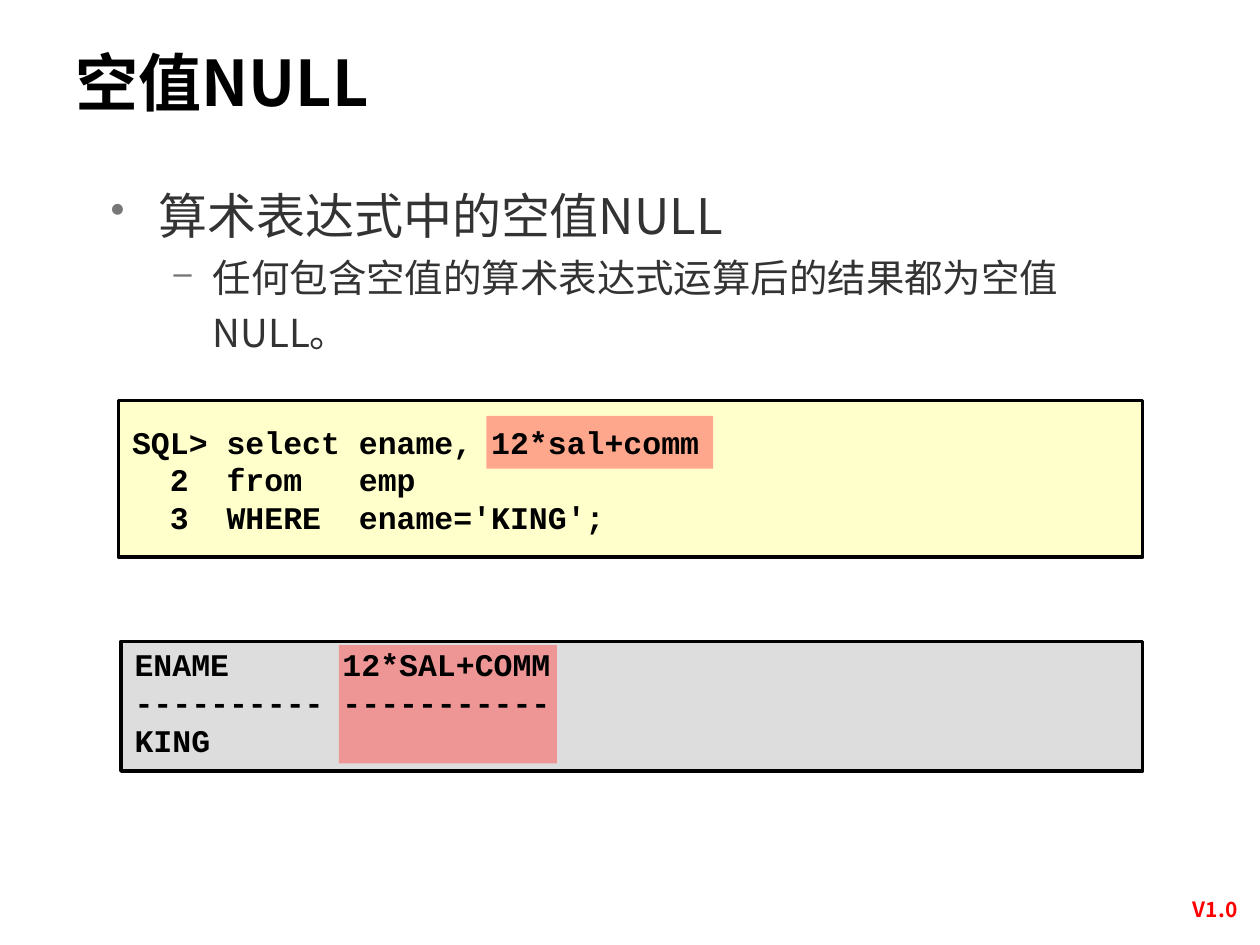
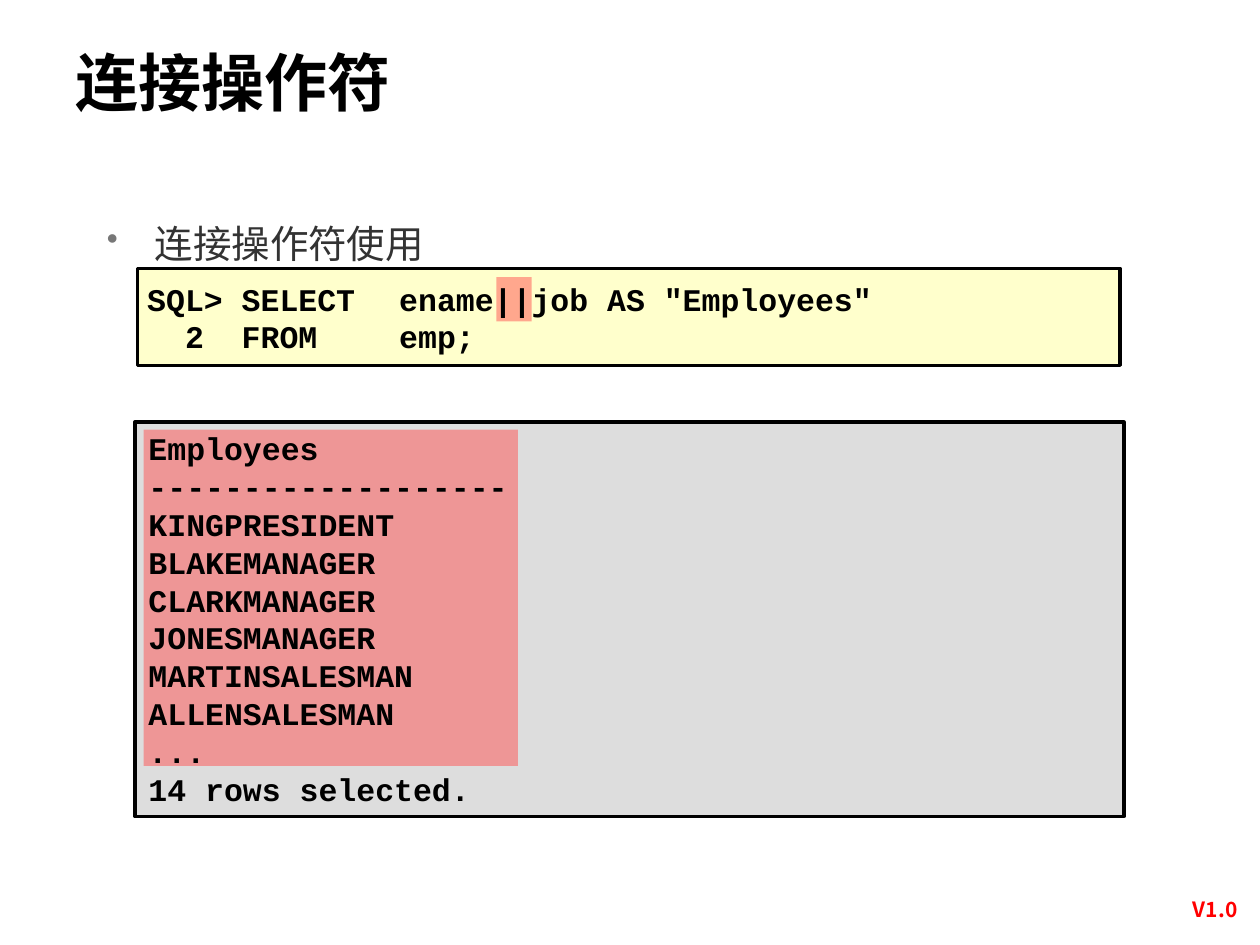
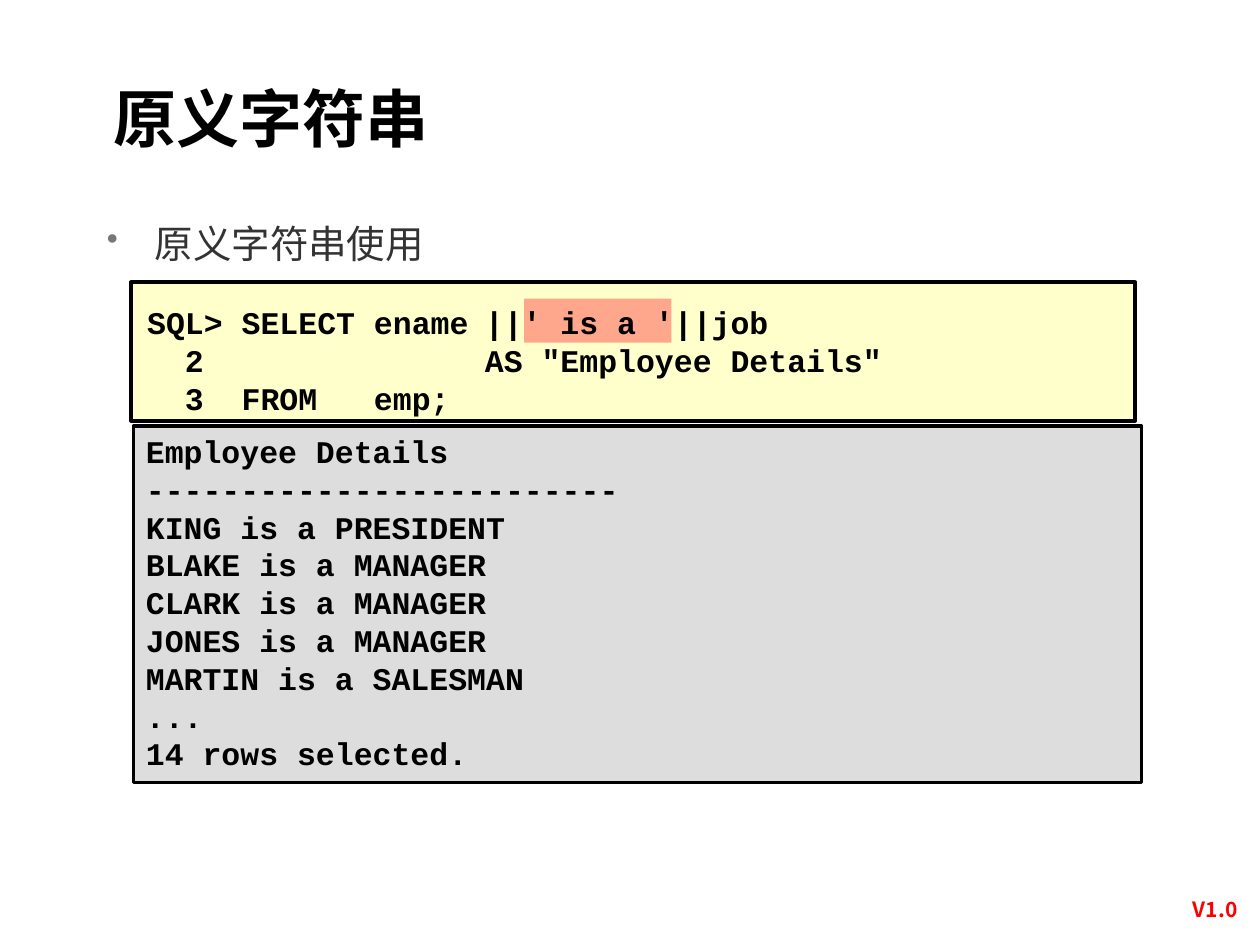
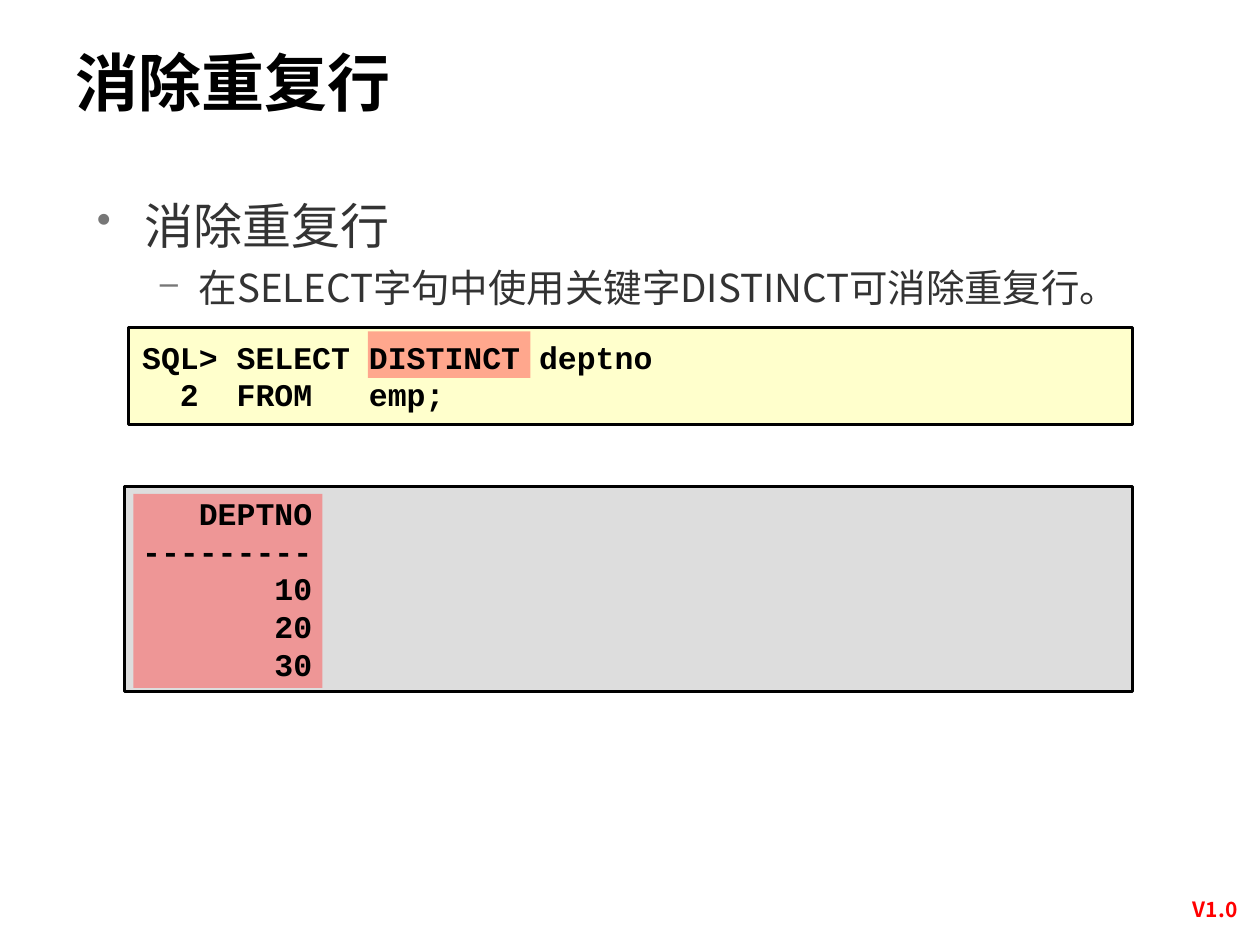
from lxml.etree import SubElement as Sub
from pptx import Presentation
from pptx.dml.color import RGBColor as Rgb
from pptx.enum.shapes import MSO_SHAPE as Geo
from pptx.enum.text import MSO_ANCHOR as Anchor, PP_ALIGN as Align
from pptx.oxml.ns import qn
from pptx.util import Inches, Pt

HEX = {"ink": "000000", "body": "333333", "dot": "777777", "sql": "FFFFCC",
       "out": "DDDDDD", "mark": "FF5050", "ver": "FF0000"}
SANS, MONO = "Noto Sans CJK SC", "Courier New"
HEAD = (0.5, 0.3, 7.97, 0.77)
LEVELS = [("•", 0.38, -0.38), ("–", 0.81, -0.31)]
STOPS = [(0.3, "l"), (0.75, "l"), (1.8, "l")]

SLIDES = [
    {
        "title": ("空值NULL", HEAD),
        "body": ((0.78, 1.33, 8.08, 1.56),
                 [("算术表达式中的空值NULL", 28, 0),
                  ("任何包含空值的算术表达式运算后的结果都为空值NULL。", 22, 1)]),
        "panels": [("sql", (0.94, 3.18, 8.13, 1.24)),
                   ("out", (0.96, 5.09, 8.11, 1.03))],
        "marks": [(3.86, 3.3, 1.8, 0.42), (2.69, 5.12, 1.73, 0.94)],
        "sql": ((0.95, 3.17, 8.16, 1.27), STOPS,
                ["SQL>\tselect\tename, 12*sal+comm",
                 "\t2\tfrom\temp",
                 "\t3\tWHERE\tename='KING';"]),
        "out": ((0.97, 5.07, 8.14, 1), [(1.65, "l")],
                ["ENAME\t12*SAL+COMM", "----------\t-----------", "KING"]),
    },
    {
        "title": ("连接操作符", HEAD),
        "body": ((0.75, 1.62, 8.82, 0.49), [("连接操作符使用", 22, 0)]),
        "panels": [("sql", (1.09, 2.13, 7.8, 0.77)),
                   ("out", (1.07, 3.35, 7.85, 3.13))],
        "marks": [(3.94, 2.2, 0.28, 0.35), (1.14, 3.41, 2.97, 2.67)],
        "sql": ((1.07, 2.12, 7.82, 0.8), STOPS[:2] + [(2, "l")],
                ["SQL>\tSELECT\tename||job AS \"Employees\"",
                 "\t2\tFROM\temp;"]),
        "out": ((1.08, 3.36, 7.82, 3.1), [],
                ["Employees", "-------------------", "KINGPRESIDENT",
                 "BLAKEMANAGER", "CLARKMANAGER", "JONESMANAGER",
                 "MARTINSALESMAN", "ALLENSALESMAN", "...",
                 "14 rows selected."]),
    },
    {
        "title": ("原义字符串", (0.8, 0.58, 8.33, 0.96)),
        "body": ((0.75, 1.62, 8.82, 0.49), [("原义字符串使用", 22, 0)]),
        "panels": [("sql", (1.04, 2.24, 7.97, 1.1)),
                   ("out", (1.06, 3.38, 8, 2.83))],
        "marks": [(4.16, 2.37, 1.17, 0.35)],
        "sql": ((1.07, 2.29, 8, 1.13), STOPS + [(2.68, "l")],
                ["SQL>\tSELECT\tename\t||' is a '||job",
                 "\t2\t\t\tAS \"Employee Details\"",
                 "\t3\tFROM\temp;"]),
        "out": (None, [],
                ["Employee Details", "-------------------------",
                 "KING is a PRESIDENT", "BLAKE is a MANAGER",
                 "CLARK is a MANAGER", "JONES is a MANAGER",
                 "MARTIN is a SALESMAN", "...", "14 rows selected."]),
    },
    {
        "title": ("消除重复行", HEAD),
        "body": ((0.67, 1.41, 8.82, 1.56),
                 [("消除重复行", 28, 0),
                  ("在SELECT字句中使用关键字DISTINCT可消除重复行。", 22, 1)]),
        "panels": [("sql", (1.02, 2.6, 7.97, 0.77)),
                   ("out", (0.99, 3.86, 8, 1.63))],
        "marks": [(2.92, 2.63, 1.29, 0.37), (1.06, 3.92, 1.5, 1.54)],
        "sql": ((1.03, 2.58, 8, 0.8), STOPS,
                ["SQL>\tSELECT\tDISTINCT deptno", "\t2\tFROM\temp;"]),
        "out": ((1.03, 3.87, 7.97, 1.6), [(1.35, "r")],
                ["\tDEPTNO", "---------", "\t10", "\t20", "\t30"]),
    },
]


def place(box):
    return [Inches(n) for n in box]


def add_rect(slide, box, tint):
    rect = slide.shapes.add_shape(Geo.RECTANGLE, *place(box))
    rect.shadow.inherit = False
    rect.fill.solid()
    rect.fill.fore_color.rgb = Rgb.from_string(HEX[tint])
    return rect


def add_panel(slide, tint, box):
    rect = add_rect(slide, box, tint)
    rect.line.color.rgb = Rgb.from_string(HEX["ink"])
    rect.line.width = Pt(2)
    return rect


def add_mark(slide, box):
    rect = add_rect(slide, box, "mark")
    rect.line.fill.background()
    tone = rect.fill._xPr.find(".//" + qn("a:srgbClr"))
    Sub(tone, qn("a:alpha"), val="50000")


def add_box(slide, box):
    return slide.shapes.add_textbox(*place(box)).text_frame


def style(para, face, size, tint, bold=False):
    font = para.font
    font.size, font.bold, font.name = Pt(size), bold, face
    font.color.rgb = Rgb.from_string(HEX[tint])
    Sub(font._rPr, qn("a:ea"), typeface=face)


def set_bullet(para, level):
    sign, left, hang = LEVELS[level]
    para.level = level
    para.line_spacing = 1.2
    props = para._p.get_or_add_pPr()
    props.set("marL", str(Inches(left)))
    props.set("indent", str(Inches(hang)))
    Sub(Sub(props, qn("a:buClr")), qn("a:srgbClr"), val=HEX["dot"])
    Sub(props, qn("a:buSzPct"), val="85000")
    Sub(props, qn("a:buChar"), char=sign)


def set_tabs(para, stops):
    if stops:
        tabs = Sub(para._p.get_or_add_pPr(), qn("a:tabLst"))
        for pos, side in stops:
            Sub(tabs, qn("a:tab"), pos=str(Inches(pos)), algn=side)


def fill_text(frame, lines):
    frame.word_wrap = True
    frame.text = "\n".join(lines)
    return frame.paragraphs


def add_code(frame, stops, lines, anchor):
    frame.vertical_anchor = anchor
    for para in fill_text(frame, lines):
        para.alignment = Align.LEFT
        set_tabs(para, stops)
        style(para, MONO, 18, "ink", True)


def add_body(slide, box, items):
    paras = fill_text(add_box(slide, box), [item[0] for item in items])
    for para, (_, size, level) in zip(paras, items):
        set_bullet(para, level)
        style(para, SANS, size, "body")


def add_label(slide, text, box, size, tint, align):
    para = fill_text(add_box(slide, box), [text])[0]
    para.alignment = align
    style(para, SANS, size, tint, True)


def build(deck, data):
    slide = deck.slides.add_slide(deck.slide_layouts[6])
    add_label(slide, "V1.0", (9.25, 7.07, 0.79, 0.3), 12, "ver", Align.CENTER)
    panels = {kind: add_panel(slide, kind, box) for kind, box in data["panels"]}
    for box in data["marks"]:
        add_mark(slide, box)
    for kind, anchor in (("sql", Anchor.MIDDLE), ("out", Anchor.TOP)):
        box, stops, lines = data[kind]
        frame = add_box(slide, box) if box else panels[kind].text_frame
        add_code(frame, stops, lines, anchor)
    add_body(slide, *data["body"])
    add_label(slide, *data["title"], 36, "ink", Align.LEFT)


def main():
    deck = Presentation()
    deck.slide_width, deck.slide_height = Inches(10), Inches(7.5)
    for data in SLIDES:
        build(deck, data)
    deck.save("out.pptx")


if __name__ == "__main__":
    main()
